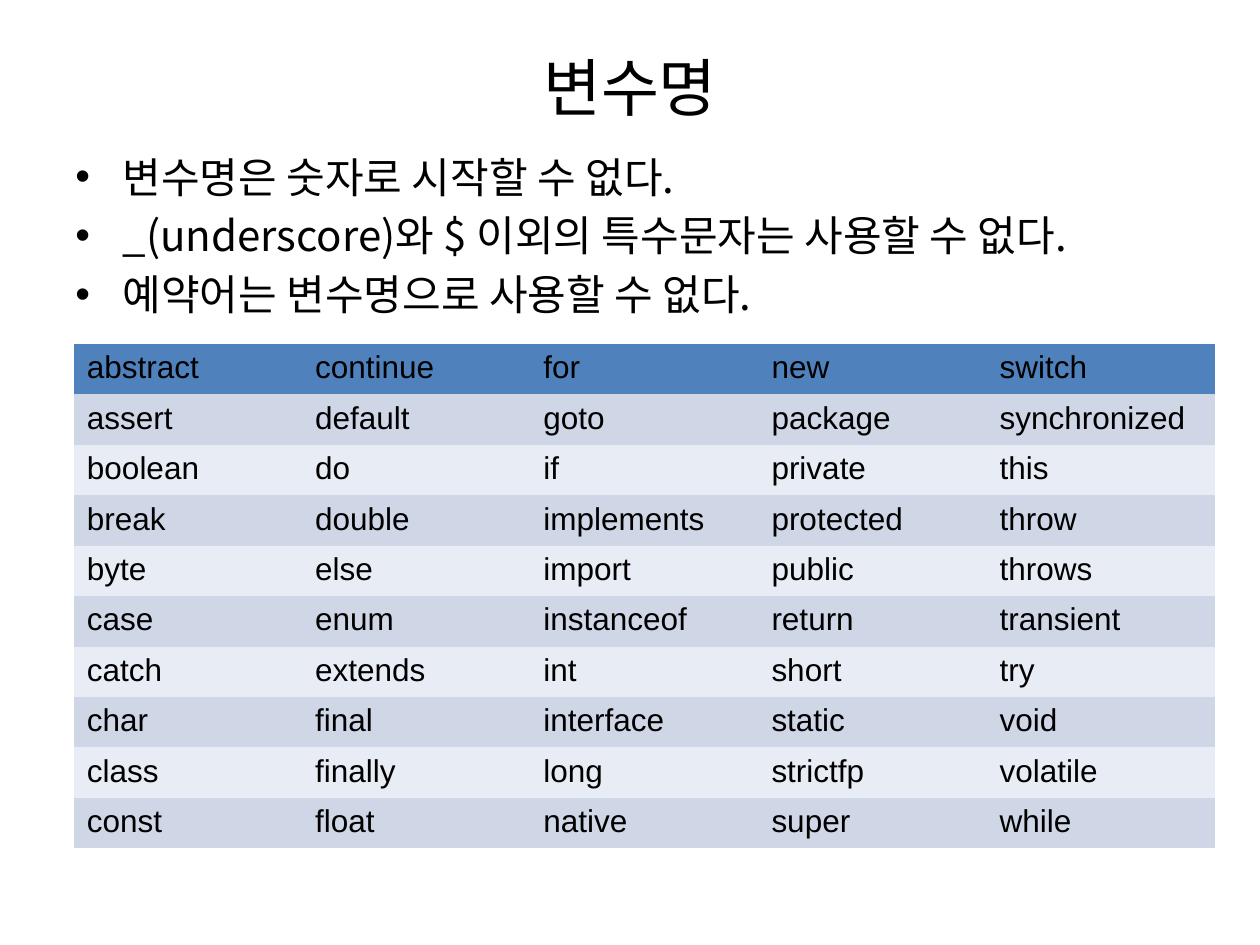
from pptx import Presentation
from pptx.dml.color import RGBColor
from pptx.enum.text import MSO_ANCHOR, PP_ALIGN
from pptx.oxml.ns import qn
from pptx.util import Pt
from lxml import etree

CENTER, LEFT = PP_ALIGN.CENTER, PP_ALIGN.LEFT
MIDDLE, TOP = MSO_ANCHOR.MIDDLE, MSO_ANCHOR.TOP

COLORS = {
    "text": "000000",
    "header": "4F81BD",
    "band_dark": "CFD7E7",
    "band_light": "E8ECF4",
}
KOREAN_FONT, KEYWORD_FONT = "Noto Sans CJK KR", "Arial"
PLAIN_TABLE_STYLE = "{2D5ABB26-0587-4C30-8999-92F81FD0307C}"

TITLE = "변수명"
RULES = [
    "변수명은 숫자로 시작할 수 없다.",
    "_(underscore)와 $ 이외의 특수문자는 사용할 수 없다.",
    "예약어는 변수명으로 사용할 수 없다.",
]
# One string per table column, in alphabetical order
KEYWORD_COLUMNS = [
    "abstract assert boolean break byte case catch char class const",
    "continue default do double else enum extends final finally float",
    "for goto if implements import instanceof int interface long native",
    "new package private protected public return short static strictfp super",
    "switch synchronized this throw throws transient try void volatile while",
]


def add_run(paragraph, text, size, font):
    run = paragraph.add_run()
    run.text = text
    run.font.size = Pt(size)
    run.font.name = font
    run.font.color.rgb = RGBColor.from_string(COLORS["text"])
    # East Asian characters take their font from a:ea
    east_asian = etree.SubElement(run._r.get_or_add_rPr(), qn("a:ea"))
    east_asian.set("typeface", font)


def add_bullet(paragraph, indent):
    properties = paragraph._p.get_or_add_pPr()
    properties.set("marL", str(Pt(indent)))
    properties.set("indent", str(-Pt(indent)))
    etree.SubElement(properties, qn("a:buFont")).set("typeface", "Arial")
    etree.SubElement(properties, qn("a:buChar")).set("char", "•")


def add_text_frame(slide, box, anchor):
    frame = slide.shapes.add_textbox(*map(Pt, box)).text_frame
    frame.word_wrap = True
    frame.vertical_anchor = anchor
    return frame


def add_title(slide, box):
    heading = add_text_frame(slide, box, MIDDLE).paragraphs[0]
    heading.alignment = CENTER
    add_run(heading, TITLE, 36, KOREAN_FONT)


def add_rules(slide, box):
    frame = add_text_frame(slide, box, TOP)
    for index, rule in enumerate(RULES):
        paragraph = frame.add_paragraph() if index else frame.paragraphs[0]
        paragraph.alignment = LEFT
        paragraph.space_before = Pt(4.8 if index else 0)
        add_bullet(paragraph, 27)
        add_run(paragraph, rule, 24, KOREAN_FONT)


def add_keyword_table(slide, box):
    keyword_rows = list(zip(*(column.split() for column in KEYWORD_COLUMNS)))
    frame = slide.shapes.add_table(
        len(keyword_rows), len(KEYWORD_COLUMNS), *map(Pt, box))
    table = frame.table
    # Plain style: no borders between the cells
    table._tbl.tblPr.find(qn("a:tableStyleId")).text = PLAIN_TABLE_STYLE

    for row, keywords in enumerate(keyword_rows):
        band = "header" if row == 0 else "band_dark" if row % 2 else "band_light"
        for column, keyword in enumerate(keywords):
            cell = table.cell(row, column)
            cell.fill.solid()
            cell.fill.fore_color.rgb = RGBColor.from_string(COLORS[band])
            add_run(cell.text_frame.paragraphs[0], keyword, 18, KEYWORD_FONT)


def main():
    presentation = Presentation()
    presentation.slide_width, presentation.slide_height = Pt(720), Pt(540)
    slide = presentation.slides.add_slide(presentation.slide_layouts[6])

    # Boxes are left, top, width, height
    add_title(slide, (36, 21.6, 648, 55.4))
    add_rules(slide, (36, 82.8, 641.5, 147.6))
    add_keyword_table(slide, (42.5, 196.5, 652, 230))

    presentation.save("out.pptx")


if __name__ == "__main__":
    main()
